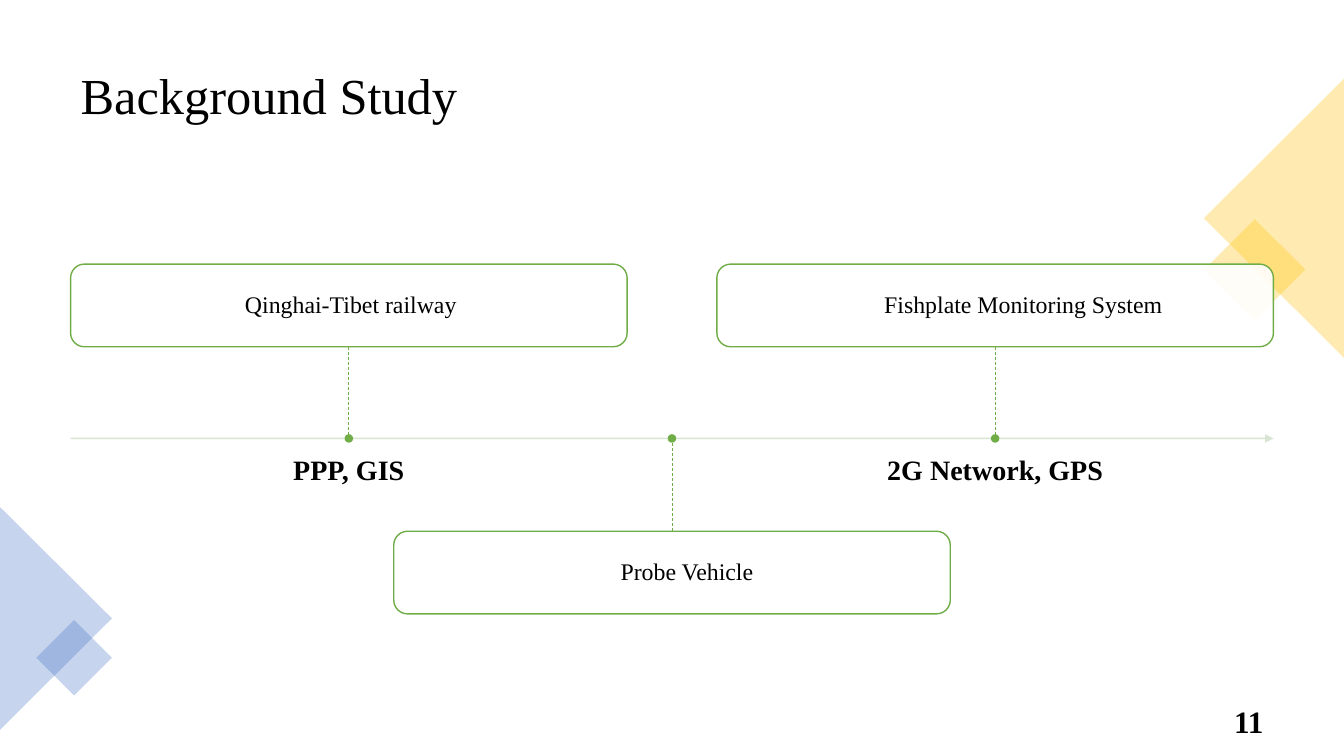
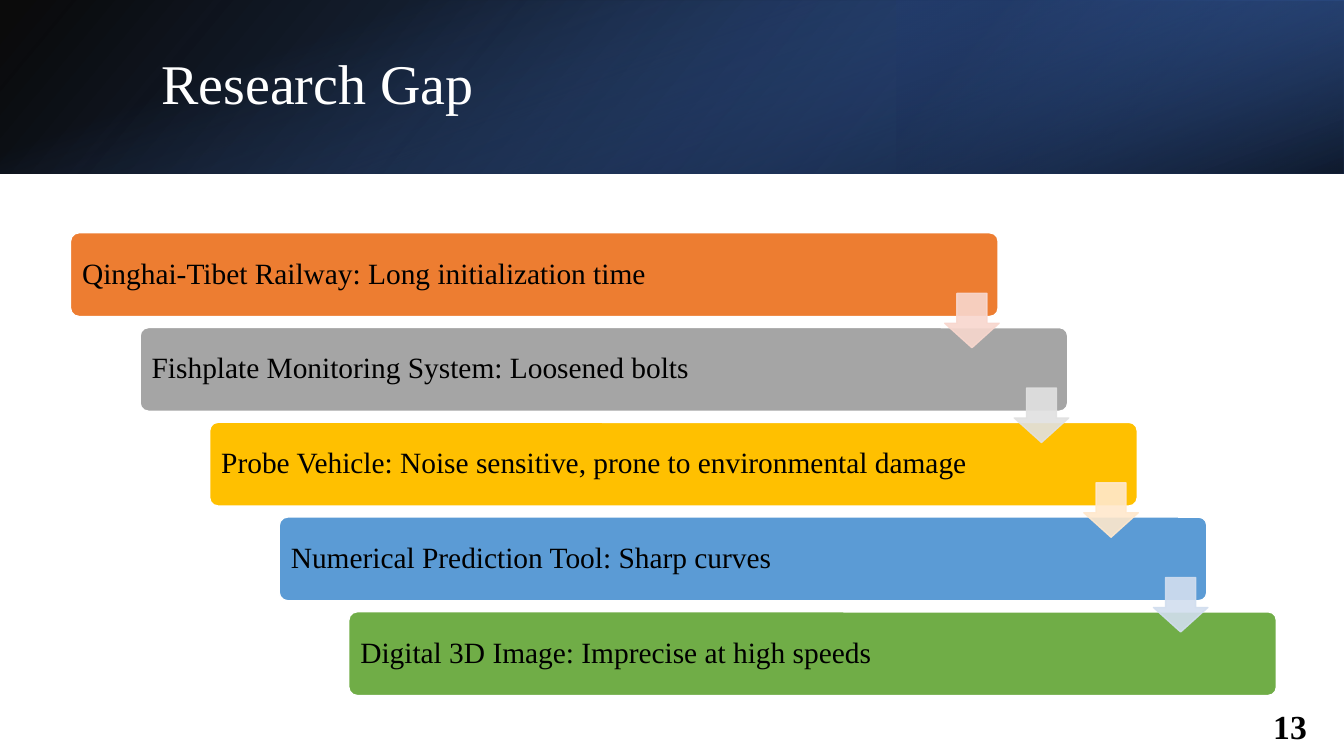
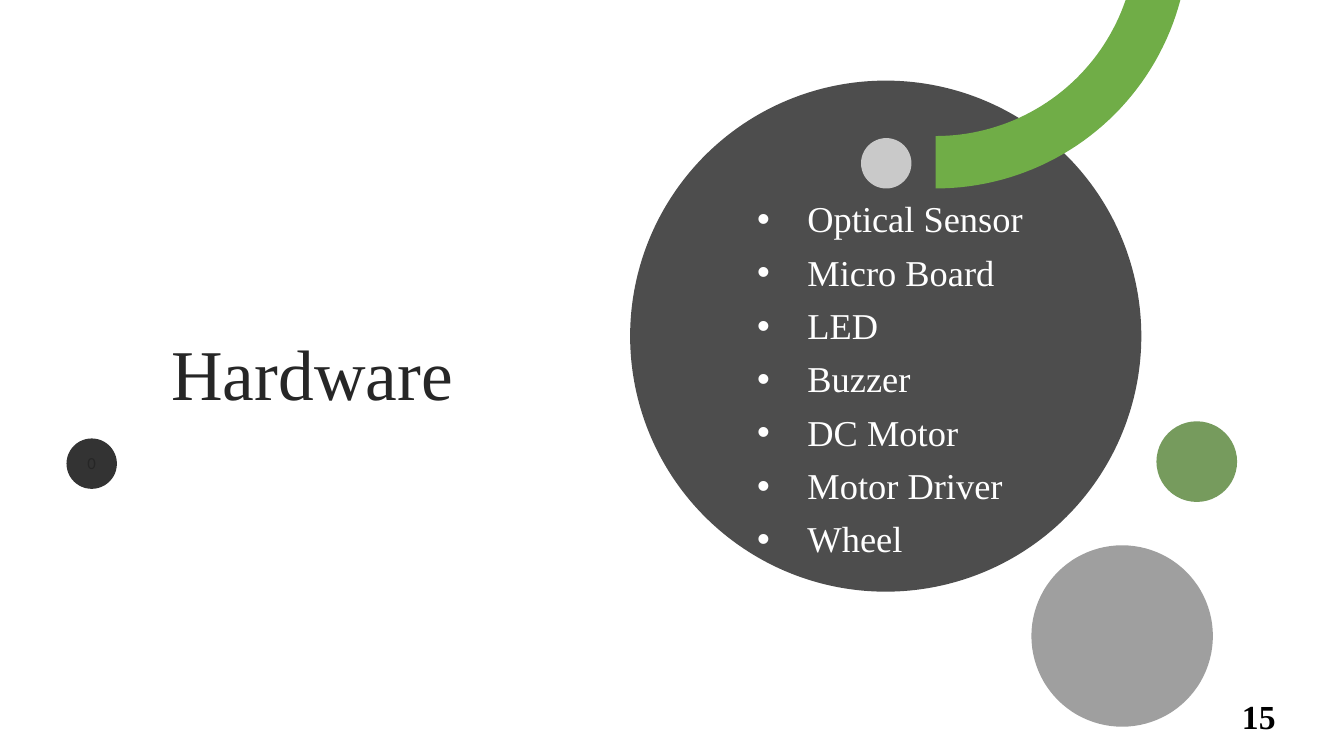
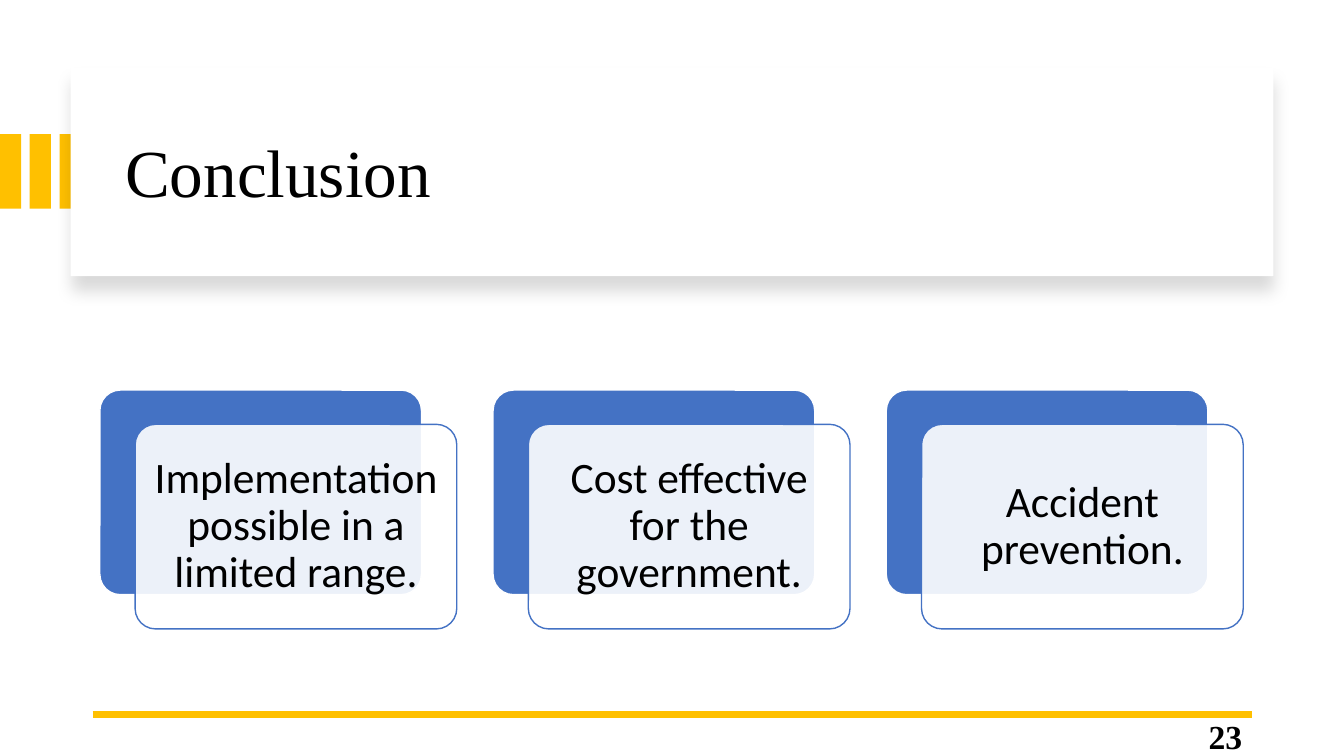
from dataclasses import dataclass
from math import asin, cos, pi, sin
from typing import Any, NamedTuple, Optional

from lxml import etree
from pptx import Presentation
from pptx.dml.color import RGBColor
from pptx.enum.dml import MSO_LINE
from pptx.enum.shapes import MSO_CONNECTOR, MSO_SHAPE
from pptx.enum.text import MSO_ANCHOR, MSO_AUTO_SIZE, PP_ALIGN
from pptx.oxml.ns import qn
from pptx.util import Inches, Pt

RECT = MSO_SHAPE.RECTANGLE
ROUND_RECT = MSO_SHAPE.ROUNDED_RECTANGLE
ELLIPSE = MSO_SHAPE.OVAL
TRIANGLE = MSO_SHAPE.ISOSCELES_TRIANGLE
DOWN_ARROW = MSO_SHAPE.DOWN_ARROW
STRAIGHT = MSO_CONNECTOR.STRAIGHT
LEFT, CENTER, RIGHT = PP_ALIGN.LEFT, PP_ALIGN.CENTER, PP_ALIGN.RIGHT
TOP, MIDDLE = MSO_ANCHOR.TOP, MSO_ANCHOR.MIDDLE
SITE_TOP, SITE_BOTTOM = 0, 2

BLACK = RGBColor(0x00, 0x00, 0x00)
WHITE = RGBColor(0xFF, 0xFF, 0xFF)
INK = RGBColor(0x26, 0x26, 0x26)
CHARCOAL = RGBColor(0x4D, 0x4D, 0x4D)
DARK_GRAY = RGBColor(0x40, 0x40, 0x40)
GRAY = RGBColor(0xA5, 0xA5, 0xA5)
GREEN = RGBColor(0x70, 0xAD, 0x47)
DARK_GREEN = RGBColor(0x54, 0x82, 0x35)
PALE_GREEN = RGBColor(0xD5, 0xE3, 0xCF)
GOLD = RGBColor(0xFF, 0xC0, 0x00)
PALE_GOLD = RGBColor(0xFF, 0xE8, 0xCC)
ORANGE = RGBColor(0xED, 0x7D, 0x31)
PALE_ORANGE = RGBColor(0xF8, 0xD7, 0xCE)
PALE_GRAY = RGBColor(0xE1, 0xE1, 0xE1)
BLUE = RGBColor(0x44, 0x72, 0xC4)
SKY = RGBColor(0x5B, 0x9B, 0xD5)
PALE_BLUE = RGBColor(0xD2, 0xDE, 0xEF)
MID_BLUE = RGBColor(0x2F, 0x55, 0x97)
NAVY = RGBColor(0x20, 0x38, 0x64)

SERIF, SANS = "Times New Roman", "Calibri"


class Box(NamedTuple):
    left: float
    top: float
    width: float
    height: float


class Stop(NamedTuple):
    position: int
    color: RGBColor
    opacity: int


@dataclass
class TextStyle:
    size: float
    color: RGBColor = BLACK
    bold: bool = False
    name: str = SERIF
    align: Any = LEFT
    anchor: Any = MIDDLE
    spacing: float = 0.9


@dataclass
class Milestone:
    text: str
    top: float
    indent: float
    label: str = ""


@dataclass
class Step:
    text: str
    color: RGBColor
    arrow_color: Optional[RGBColor] = None


@dataclass
class Accent:
    kind: Any
    box: Box
    color: RGBColor
    opacity: int
    rotation: float = 0


def inches(box: Box) -> list:
    return [Inches(v) for v in box]


def set_opacity(parent: Any, percent: int) -> None:
    """Make the solid fill below a shape's or a line's properties see-through."""
    color = parent.find(qn("a:solidFill"))[0]
    etree.SubElement(color, qn("a:alpha"), val=str(percent * 1000))


def add_shape(s: Any, kind: Any, box: Box, fill: RGBColor, opacity: int = 100,
              line: Optional[RGBColor] = None, rotation: float = 0) -> Any:
    sp = s.shapes.add_shape(kind, *inches(box))
    sp.shadow.inherit = False
    sp.rotation = rotation
    sp.fill.solid()
    sp.fill.fore_color.rgb = fill
    if opacity < 100:
        set_opacity(sp._element.spPr, opacity)
    if line is None:
        sp.line.fill.background()
    else:
        sp.line.color.rgb = line
        sp.line.width = Pt(1)
    return sp


def add_accents(s: Any, accents: list[Accent]) -> None:
    for a in accents:
        add_shape(s, a.kind, a.box, a.color, a.opacity, rotation=a.rotation)


def add_line(s: Any, start: tuple, end: tuple, color: RGBColor, width: float) -> Any:
    line = s.shapes.add_connector(STRAIGHT, *[Inches(v) for v in (*start, *end)])
    line.line.color.rgb = color
    line.line.width = Pt(width)
    etree.SubElement(line._element.spPr, qn("a:effectLst"))
    return line


def write(tf: Any, text: str, style: TextStyle, margins: Optional[tuple] = None) -> None:
    """Fill a frame; margins are left, top, right and bottom in inches."""
    tf.word_wrap = True
    tf.auto_size = MSO_AUTO_SIZE.NONE
    tf.vertical_anchor = style.anchor
    if margins:
        for side, value in zip(("left", "top", "right", "bottom"), margins):
            setattr(tf, f"margin_{side}", Inches(value))
    p = tf.paragraphs[0]
    p.alignment = style.align
    p.line_spacing = style.spacing
    add_run(p, text, style)


def add_run(p: Any, text: str, style: TextStyle) -> None:
    r = p.add_run()
    r.text = text
    font = {"size": Pt(style.size), "name": style.name, "bold": style.bold}
    for key, value in font.items():
        setattr(r.font, key, value)
    r.font.color.rgb = style.color


def add_text(s: Any, box: Box, text: str, style: TextStyle,
             margins: Optional[tuple] = None) -> None:
    write(s.shapes.add_textbox(*inches(box)).text_frame, text, style, margins)


def place_title(s: Any, box: Box, text: str, size: float, color: RGBColor = BLACK) -> None:
    """Format the title and bring it in front of what is drawn so far."""
    title = s.shapes.title
    title.left, title.top, title.width, title.height = inches(box)
    write(title.text_frame, text, TextStyle(size, color))
    s.shapes._spTree.append(title._element)


def add_number(s: Any, box: Box, number: str, size: float = 24,
               align: Any = RIGHT, anchor: Any = MIDDLE) -> None:
    style = TextStyle(size, bold=True, align=align, anchor=anchor, spacing=1)
    add_text(s, box, number, style)


def add_gradient(s: Any, box: Box, stops: list[Stop], angle: int,
                 rotation: float = 0, flip: bool = False) -> None:
    sp = add_shape(s, RECT, box, BLACK, rotation=rotation)
    props = sp._element.spPr
    if flip:
        props.find(qn("a:xfrm")).set("flipH", "1")
    grad = etree.Element(qn("a:gradFill"), rotWithShape="1")
    stop_list = etree.SubElement(grad, qn("a:gsLst"))
    for stop in stops:
        gs = etree.SubElement(stop_list, qn("a:gs"), pos=str(stop.position * 1000))
        color = etree.SubElement(gs, qn("a:srgbClr"), val=str(stop.color))
        etree.SubElement(color, qn("a:alpha"), val=str(stop.opacity * 1000))
    etree.SubElement(grad, qn("a:lin"), ang=str(angle * 60000), scaled="0")
    props.replace(props.find(qn("a:solidFill")), grad)


def add_drop_shadow(sp: Any, blur: float, distance: float, opacity: int) -> None:
    effects = sp._element.spPr.find(qn("a:effectLst"))
    shadow = etree.SubElement(
        effects, qn("a:outerShdw"), blurRad=str(Pt(blur)), dist=str(Pt(distance)),
        dir=str(90 * 60000), algn="t", rotWithShape="0")
    color = etree.SubElement(shadow, qn("a:srgbClr"), val=str(BLACK))
    etree.SubElement(color, qn("a:alpha"), val=str(opacity * 1000))


def add_ring_arc(s: Any, cx: float, cy: float, outer: float, inner: float,
                 color: RGBColor) -> None:
    """Draw the ring part from straight below the centre to the slide's top edge."""
    n = 40
    points = []
    for radius, backward in ((outer, False), (inner, True)):
        edge = asin(-cy / radius)
        angles = [pi / 2 + (edge - pi / 2) * i / n for i in range(n + 1)]
        if backward:
            angles.reverse()
        points += [(Inches(cx + radius * cos(a)), Inches(cy + radius * sin(a)))
                   for a in angles]
    builder = s.shapes.build_freeform(*points[0])
    builder.add_line_segments(points[1:], close=True)
    sp = builder.convert_to_shape()
    sp.shadow.inherit = False
    sp.fill.solid()
    sp.fill.fore_color.rgb = color
    sp.line.fill.background()


def add_bullets(s: Any, box: Box, items: list[str], style: TextStyle) -> None:
    tf = s.shapes.add_textbox(*inches(box)).text_frame
    tf.word_wrap = True
    tf.vertical_anchor = style.anchor
    for i, item in enumerate(items):
        p = tf.add_paragraph() if i else tf.paragraphs[0]
        p.line_spacing = style.spacing
        if i:
            p.space_before = Pt(10)
        props = p._p.get_or_add_pPr()
        props.set("marL", str(Inches(0.5)))
        props.set("indent", str(Inches(-0.5)))
        etree.SubElement(props, qn("a:buFont"), typeface="Arial")
        etree.SubElement(props, qn("a:buChar"), char="•")
        add_run(p, item, style)


def background_slide(s: Any) -> None:
    place_title(s, Box(0.7, 0.35, 11.93, 1.24), "Background Study", 36)
    add_accents(s, [
        Accent(RECT, Box(12.09, 2.32, 0.71, 0.71), GOLD, 30, 45),
        Accent(TRIANGLE, Box(11.25, 1.47, 2.77, 1.39), GOLD, 30, 270),
        Accent(TRIANGLE, Box(-0.55, 5.58, 2.21, 1.11), BLUE, 30, 90),
        Accent(RECT, Box(0.47, 6.26, 0.53, 0.53), BLUE, 30, 45),
    ])
    add_number(s, Box(9.63, 6.95, 3, 0.4), "11", 22.2)

    axis_y, left, pitch, width, height, dot = 4.35, 0.7, 3.205, 5.52, 0.82, 0.07
    axis = add_line(s, (left, axis_y), (12.63, axis_y), PALE_GREEN, 1)
    ln = axis.line._get_or_add_ln()
    set_opacity(ln, 90)
    etree.SubElement(ln, qn("a:tailEnd"), type="triangle")

    milestones = [
        Milestone("Qinghai-Tibet railway", 2.62, 1.69, "PPP, GIS"),
        Milestone("Probe Vehicle", 5.27, 2.21),
        Milestone("Fishplate Monitoring System", 2.62, 1.62, "2G Network, GPS"),
    ]
    label_style = TextStyle(20, bold=True, align=CENTER, anchor=TOP)
    for i, m in enumerate(milestones):
        x = left + i * pitch
        middle = x + width / 2
        above = m.top < axis_y
        card = add_shape(s, ROUND_RECT, Box(x, m.top, width, height), WHITE, 90, GREEN)
        write(card.text_frame, m.text, TextStyle(17), (m.indent, 0.17, 0.17, 0.17))
        edge = m.top + height if above else m.top
        stem = add_line(s, (middle, edge), (middle, axis_y), GREEN, 0.5)
        stem.line.dash_style = MSO_LINE.DASH
        stem.begin_connect(card, SITE_BOTTOM if above else SITE_TOP)
        add_shape(s, ELLIPSE, Box(middle - dot / 2, axis_y - dot / 2, dot, dot),
                  GREEN, line=GREEN)
        if m.label:
            add_text(s, Box(middle - 2.43, 4.53, 4.86, 0.54), m.label, label_style,
                     (0, 0, 0, 0))


def gap_slide(s: Any) -> None:
    band = 1.72
    add_gradient(s, Box(0, 0, 13.33, band),
                 [Stop(0, BLACK, 96), Stop(100, MID_BLUE, 100)], 140, flip=True)
    add_gradient(s, Box(8.89, 0, 4.44, band),
                 [Stop(19, NAVY, 68), Stop(100, BLUE, 79)], 320, 180, True)
    add_gradient(s, Box(5.8, -5.8, band, 13.33),
                 [Stop(23, BLUE, 0), Stop(99, BLACK, 74)], 340, 90)
    place_title(s, Box(1.5, 0.38, 10.98, 0.96), "Research Gap", 40, WHITE)
    add_number(s, Box(11.38, 7.03, 1.68, 0.35), "13")

    steps = [
        Step("Qinghai-Tibet Railway: Long initialization time", ORANGE, PALE_ORANGE),
        Step("Fishplate Monitoring System: Loosened bolts", GRAY, PALE_GRAY),
        Step("Probe Vehicle: Noise sensitive, prone to environmental damage",
             GOLD, PALE_GOLD),
        Step("Numerical Prediction Tool: Sharp curves", SKY, PALE_BLUE),
        Step("Digital 3D Image: Imprecise at high speeds", GREEN),
    ]
    corners = [(0.7 + 0.69 * i, 2.31 + 0.94 * i) for i in range(len(steps))]
    for step, (x, y) in zip(steps, corners):
        bar = add_shape(s, ROUND_RECT, Box(x, y, 9.2, 0.83), step.color, line=WHITE)
        bar.adjustments[0] = 0.1
        write(bar.text_frame, step.text, TextStyle(21), (0.09, 0.09, 0.09, 0.09))
    for step, (x, y) in zip(steps, corners):
        if step.arrow_color is None:
            continue
        arrow = add_shape(s, DOWN_ARROW, Box(x + 8.67, y + 0.6, 0.54, 0.54),
                          step.arrow_color, 90, step.arrow_color)
        arrow.adjustments[0], arrow.adjustments[1] = 0.55, 0.45
        set_opacity(arrow.line._get_or_add_ln(), 90)


def hardware_slide(s: Any) -> None:
    place_title(s, Box(1.6, 1.19, 4.16, 5.11), "Hardware", 51, INK)
    add_accents(s, [
        Accent(ELLIPSE, Box(6.25, 0.8, 5.07, 5.07), CHARCOAL, 100),
        Accent(ELLIPSE, Box(8.54, 1.37, 0.5, 0.5), WHITE, 70),
        Accent(ELLIPSE, Box(11.47, 4.18, 0.8, 0.8), DARK_GREEN, 80),
        Accent(ELLIPSE, Box(10.23, 5.41, 1.8, 1.8), DARK_GRAY, 50),
    ])
    add_ring_arc(s, 9.28, -0.64, 2.51, 1.99, GREEN)
    dark_dot = add_shape(s, ELLIPSE, Box(0.66, 4.35, 0.5, 0.5), BLACK, 80)
    write(dark_dot.text_frame, "0", TextStyle(12, INK, name=SANS, align=CENTER),
          (0, 0, 0, 0))
    parts = ["Optical Sensor", "Micro Board", "LED", "Buzzer", "DC Motor",
             "Motor Driver", "Wheel"]
    add_bullets(s, Box(7.41, 1.95, 3.92, 3.82), parts, TextStyle(26, WHITE, anchor=TOP))
    add_number(s, Box(12.22, 6.85, 0.77, 0.5), "15", align=LEFT, anchor=TOP)


def conclusion_slide(s: Any) -> None:
    for i in range(3):
        add_shape(s, RECT, Box(0.295 * i, 1.33, 0.21, 0.74), GOLD)
    panel = add_shape(s, RECT, Box(0.7, 0.67, 11.93, 2.07), WHITE)
    add_drop_shadow(panel, 11, 10, 15)
    place_title(s, Box(1.14, 0.89, 11.13, 1.7), "Conclusion", 48)
    add_line(s, (0.92, 7.09), (12.42, 7.09), GOLD, 4.5)
    add_number(s, Box(9.42, 7.1, 3, 0.4), "23")

    findings = ["Implementation possible in a limited range.",
                "Cost effective for the government.", "Accident prevention."]
    style = TextStyle(31, name=SANS, align=CENTER)
    for i, finding in enumerate(findings):
        x, y, width, height = 0.99 + 3.9 * i, 3.87, 3.19, 2.03
        back = add_shape(s, ROUND_RECT, Box(x, y, width, height), BLUE, line=WHITE)
        front = add_shape(s, ROUND_RECT, Box(x + 0.35, y + 0.34, width, height),
                          WHITE, 90, BLUE)
        for card in (back, front):
            card.adjustments[0] = 0.1
        write(front.text_frame, finding, style, (0.12, 0.13, 0.12, 0.13))


def main() -> None:
    prs = Presentation()
    prs.slide_width, prs.slide_height = Inches(13.33), Inches(7.5)
    title_only = prs.slide_layouts[5]
    for build in (background_slide, gap_slide, hardware_slide, conclusion_slide):
        build(prs.slides.add_slide(title_only))
    prs.save("out.pptx")


if __name__ == "__main__":
    main()
